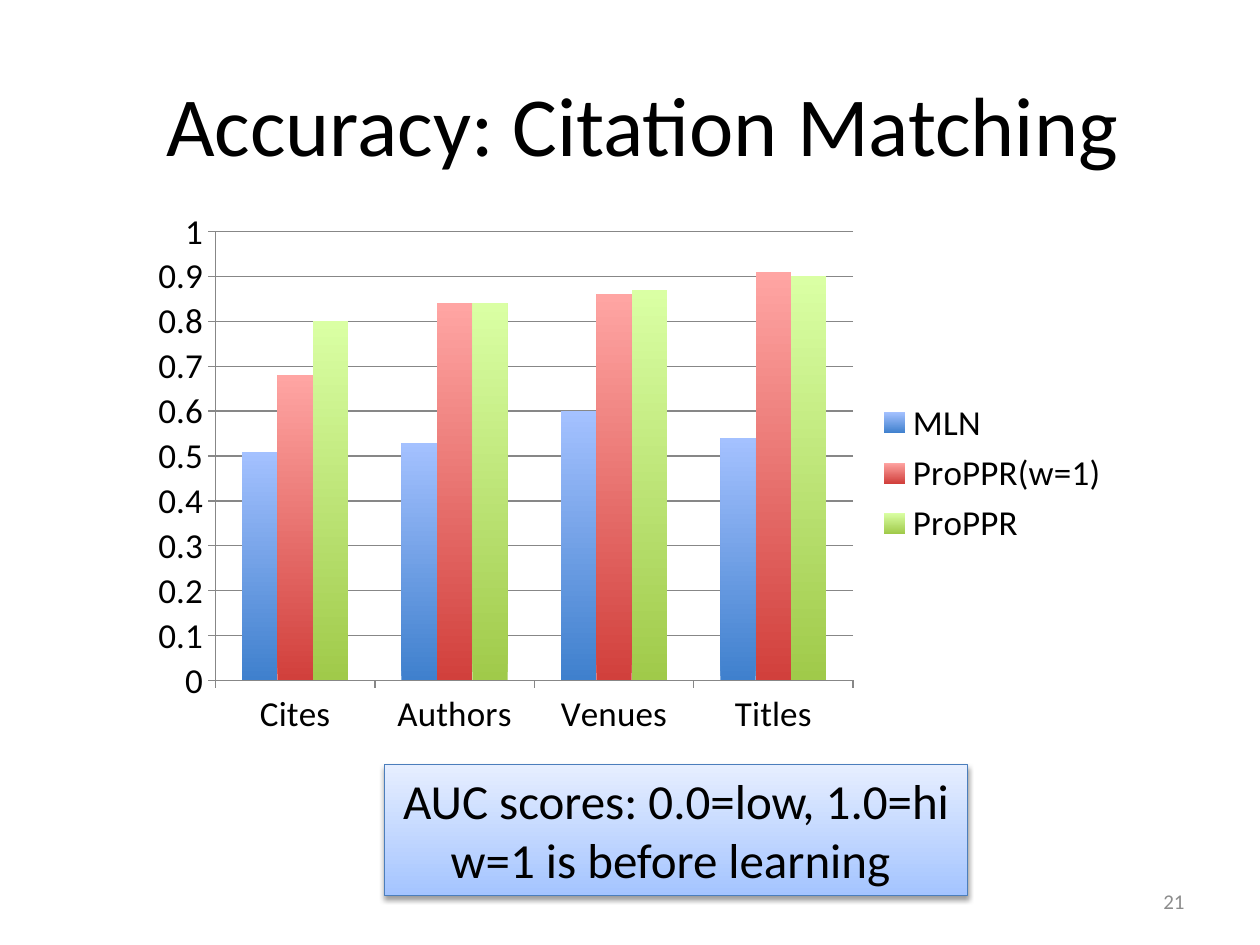
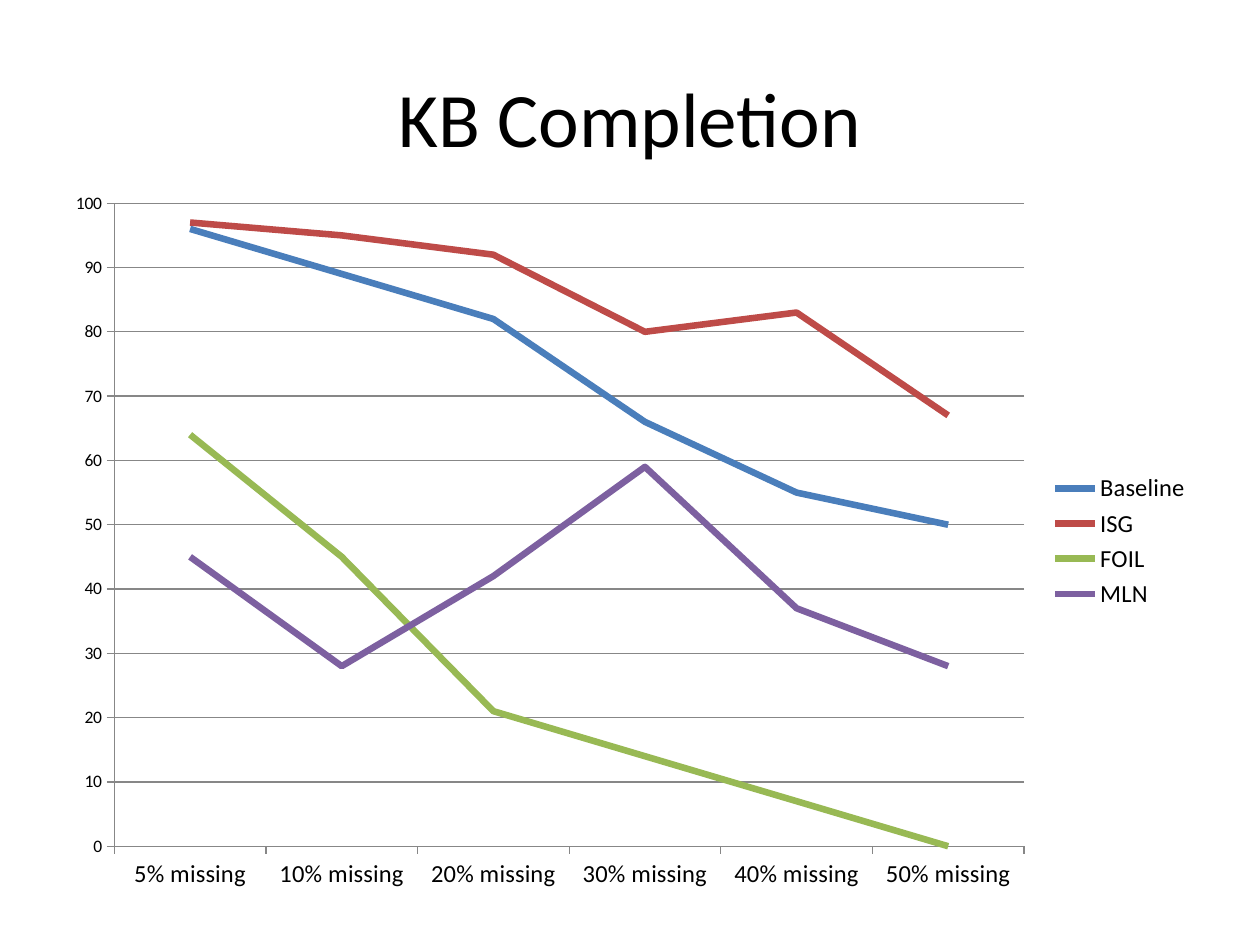
from dataclasses import dataclass

from lxml.etree import SubElement
from pptx import Presentation
from pptx.chart.data import CategoryChartData
from pptx.dml.color import RGBColor
from pptx.enum.chart import XL_CHART_TYPE, XL_LEGEND_POSITION, XL_MARKER_STYLE, XL_TICK_MARK
from pptx.enum.shapes import MSO_SHAPE
from pptx.enum.text import MSO_ANCHOR, MSO_AUTO_SIZE, PP_ALIGN
from pptx.oxml.ns import qn
from pptx.util import Inches, Pt


@dataclass(frozen=True)
class Theme:
    font: str = "Calibri"
    ink: str = "000000"
    muted: str = "8C8C8C"
    axis: str = "878787"
    note_line: str = "4B7EBC"
    note_fill: tuple = ("A4C4FF", "E6EEFF")
    bars: tuple = (("3F80CD", "A4C1FF"), ("D1403C", "FFA5A3"), ("A0CA4A", "DAFFA4"))
    lines: tuple = ("4A7EBB", "BE4B48", "98B954", "7D60A0")
    note_size: int = 28
    number_size: int = 12


THEME = Theme()


def set_all(target, **values):
    for name, value in values.items():
        setattr(target, name, value)


def style_font(font, size, color=THEME.ink):
    set_all(font, name=THEME.font, size=Pt(size), bold=False)
    font.color.rgb = RGBColor.from_string(color)


def style_line(line, color, width):
    line.color.rgb = RGBColor.from_string(color)
    line.width = Pt(width)


def fill_upward(fill, colors):
    """Fade from the first colour at the bottom to the second at the top."""
    fill.gradient()
    fill.gradient_angle = 90
    for stop, color in zip(fill.gradient_stops, colors):
        stop.color.rgb = RGBColor.from_string(color)


def write(frame, lines, size, align, color=THEME.ink):
    frame.text = "\n".join(lines)
    for para in frame.paragraphs:
        para.alignment = align
        for span in para.runs:
            style_font(span.font, size, color)


def place(box):
    return [Inches(length) for length in box]


def add_titled_page(deck, title, box, size):
    page = deck.slides.add_slide(deck.slide_layouts[5])
    holder = page.shapes.title
    set_all(holder, **dict(zip(("left", "top", "width", "height"), place(box))))
    write(holder.text_frame, [title], size, PP_ALIGN.CENTER)
    holder.text_frame.vertical_anchor = MSO_ANCHOR.MIDDLE
    return page


def add_styled_chart(page, kind, box, categories, series, size, top, step):
    data = CategoryChartData()
    data.categories = categories
    for name, values in series.items():
        data.add_series(name, values)
    chart = page.shapes.add_chart(kind, *place(box), data).chart
    set_all(chart, has_title=False, has_legend=True)
    style_font(chart.font, size)
    set_all(chart.legend, position=XL_LEGEND_POSITION.RIGHT, include_in_layout=False)
    for axis in (chart.category_axis, chart.value_axis):
        set_all(axis, major_tick_mark=XL_TICK_MARK.OUTSIDE, minor_tick_mark=XL_TICK_MARK.NONE)
        style_line(axis.format.line, THEME.axis, 0.75)
    scale = chart.value_axis
    set_all(scale, minimum_scale=0, maximum_scale=top, major_unit=step, has_major_gridlines=True)
    style_line(scale.major_gridlines.format.line, THEME.axis, 0.75)
    set_all(scale.tick_labels, number_format="General", number_format_is_linked=False)
    chart.plots[0].vary_by_categories = False
    return chart


def add_drop_shadow(shape):
    effects = SubElement(shape._element.spPr, qn("a:effectLst"))
    shadow = SubElement(effects, qn("a:outerShdw"), blurRad=str(Pt(3.1)), dist=str(Pt(1.6)),
                        dir="5400000", rotWithShape="0")
    color = SubElement(shadow, qn("a:srgbClr"), val=THEME.ink)
    SubElement(color, qn("a:alpha"), val="38000")


def add_note(page, box, lines):
    note = page.shapes.add_shape(MSO_SHAPE.RECTANGLE, *place(box))
    fill_upward(note.fill, THEME.note_fill)
    style_line(note.line, THEME.note_line, 0.75)
    add_drop_shadow(note)
    write(note.text_frame, lines, THEME.note_size, PP_ALIGN.CENTER)
    set_all(note.text_frame, word_wrap=False, auto_size=MSO_AUTO_SIZE.SHAPE_TO_FIT_TEXT,
            vertical_anchor=MSO_ANCHOR.TOP)


def add_page_number(page, box, number):
    frame = page.shapes.add_textbox(*place(box)).text_frame
    set_all(frame, word_wrap=True, vertical_anchor=MSO_ANCHOR.MIDDLE)
    write(frame, [number], THEME.number_size, PP_ALIGN.RIGHT, THEME.muted)


def build_accuracy_page(deck):
    page = add_titled_page(deck, "Accuracy: Citation Matching", (0.41, 0.35, 9.38, 1.25), 48)
    add_note(page, (3.05, 6.07, 4.63, 1.04),
             ["AUC scores: 0.0=low, 1.0=hi", "w=1 is before learning "])
    add_page_number(page, (7.17, 6.95, 2.33, 0.4), "21")
    scores = {
        "MLN": (0.51, 0.53, 0.6, 0.54),
        "ProPPR(w=1)": (0.68, 0.84, 0.86, 0.91),
        "ProPPR": (0.8, 0.84, 0.87, 0.9),
    }
    chart = add_styled_chart(page, XL_CHART_TYPE.COLUMN_CLUSTERED, (1.1, 1.58, 7.81, 4.35),
                             ("Cites", "Authors", "Venues", "Titles"), scores, 20, 1, 0.1)
    set_all(chart.plots[0], gap_width=150, overlap=0)
    for bars, colors in zip(chart.plots[0].series, THEME.bars):
        fill_upward(bars.format.fill, colors)


def build_completion_page(deck):
    page = add_titled_page(deck, "KB Completion", (0.5, 0.3, 9, 1.25), 44)
    results = {
        "Baseline": (96, 89, 82, 66, 55, 50),
        "ISG": (97, 95, 92, 80, 83, 67),
        "FOIL": (64, 45, 21, 14, 7, 0),
        "MLN": (45, 28, 42, 59, 37, 28),
    }
    shares = [f"{share}% missing" for share in (5, 10, 20, 30, 40, 50)]
    chart = add_styled_chart(page, XL_CHART_TYPE.LINE, (0.42, 1.42, 9.13, 5.75),
                             shares, results, 10, 100, 10)
    for font in (chart.category_axis.tick_labels.font, chart.legend.font):
        style_font(font, 14)
    for curve, color in zip(chart.plots[0].series, THEME.lines):
        curve.smooth = False
        curve.marker.style = XL_MARKER_STYLE.NONE
        style_line(curve.format.line, color, 3.75)


def main():
    deck = Presentation()
    set_all(deck, slide_width=Inches(10), slide_height=Inches(7.5))
    build_accuracy_page(deck)
    build_completion_page(deck)
    deck.save("out.pptx")


if __name__ == "__main__":
    main()
